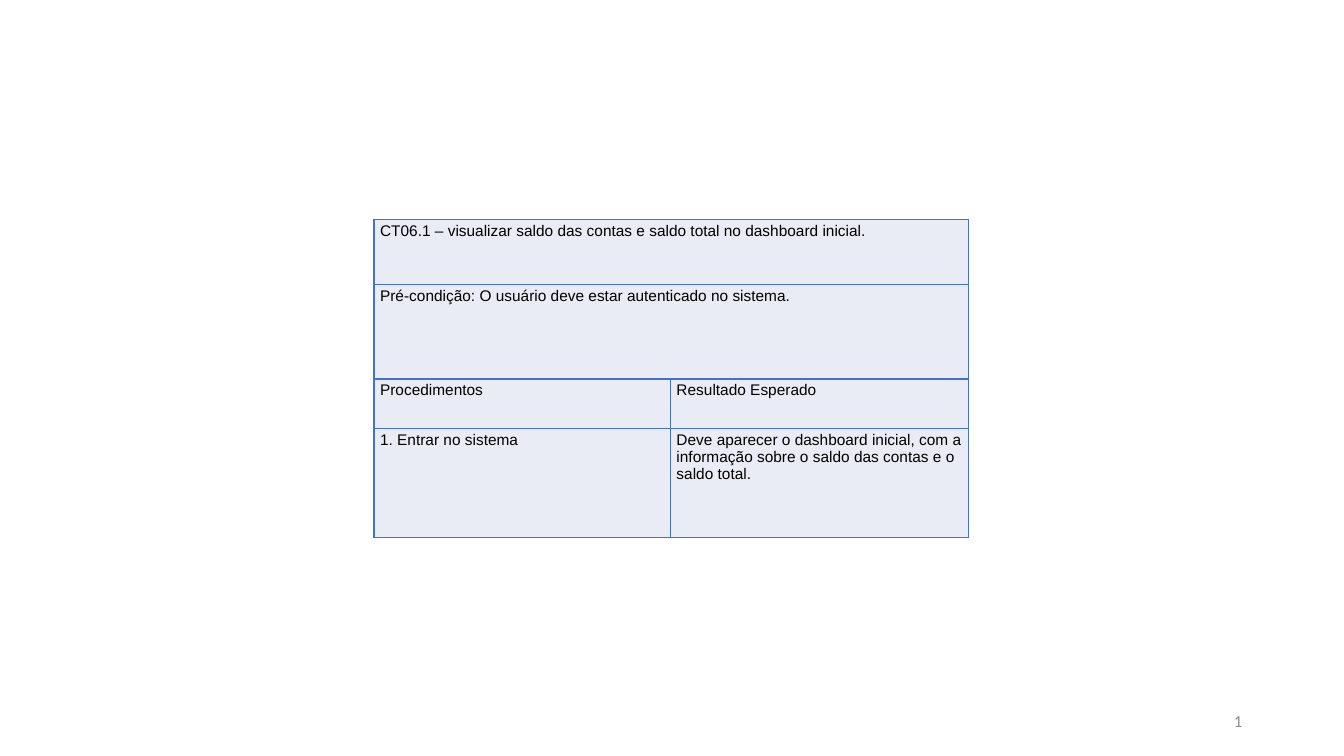
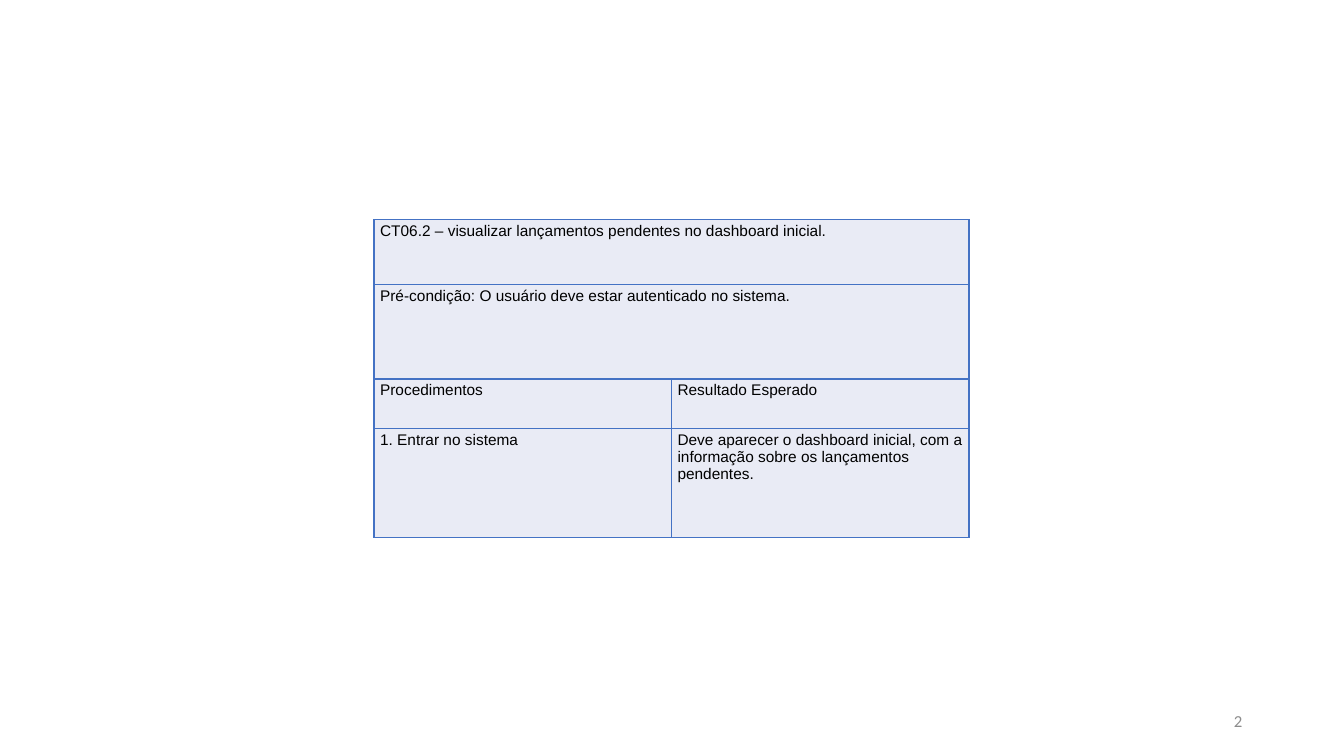
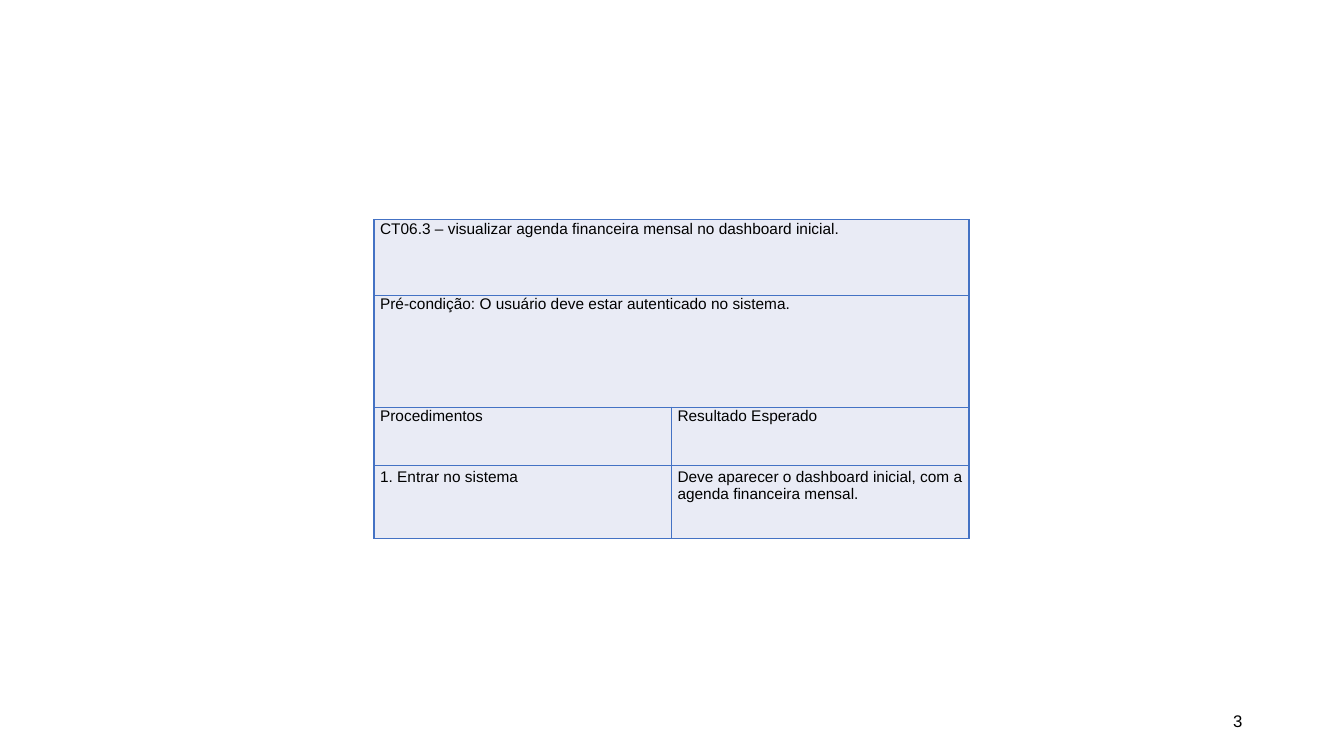
from dataclasses import dataclass

from lxml import etree
from pptx import Presentation
from pptx.dml.color import RGBColor
from pptx.enum.text import MSO_ANCHOR, PP_ALIGN
from pptx.oxml.ns import qn
from pptx.util import Inches, Pt

RIGHT = PP_ALIGN.RIGHT
MIDDLE = MSO_ANCHOR.MIDDLE


@dataclass(frozen=True)
class Theme:
    text: str = "000000"
    muted: str = "8C8C8C"
    border: str = "4472C4"
    fill: str = "E9EBF5"
    table_font: str = "Arial"
    number_font: str = "Calibri"
    table_size: int = 11
    number_size: int = 12
    border_width: int = 1


class Deck:
    """Builds test-case slides in one shared style."""

    def __init__(self, theme):
        self.theme = theme
        self.prs = Presentation()
        self.prs.slide_width = Inches(13.33)
        self.prs.slide_height = Inches(7.5)
        self.s = None

    def add_slide(self):
        self.s = self.prs.slides.add_slide(self.prs.slide_layouts[6])

    def style(self, p, font, size, color):
        p.font.name = font
        p.font.size = Pt(size)
        p.font.color.rgb = RGBColor.from_string(color)

    def add_number(self, font, color):
        sp = self.s.shapes.add_textbox(Inches(9.42), Inches(6.95), Inches(3), Inches(0.4))
        tf = sp.text_frame
        tf.word_wrap = True
        tf.vertical_anchor = MIDDLE
        p = tf.paragraphs[0]
        p.alignment = RIGHT
        self.style(p, font, self.theme.number_size, color)
        fld = etree.SubElement(p._p, qn("a:fld"), type="slidenum",
                               id="{B6F15528-21DE-4FAA-801E-634DDDAF4B2B}")
        etree.SubElement(fld, qn("a:rPr"), lang="pt-BR")
        etree.SubElement(fld, qn("a:t")).text = str(len(self.prs.slides))

    def add_borders(self, cell):
        tcPr = cell._tc.get_or_add_tcPr()
        for side in ("lnL", "lnR", "lnT", "lnB"):
            ln = etree.SubElement(tcPr, qn(f"a:{side}"), w=str(Pt(self.theme.border_width)))
            fill = etree.SubElement(ln, qn("a:solidFill"))
            etree.SubElement(fill, qn("a:srgbClr"), val=self.theme.border)

    def format_cell(self, cell, text, spacing):
        cell.margin_left = cell.margin_right = Inches(0.06)
        cell.margin_top = cell.margin_bottom = Inches(0.03)
        self.add_borders(cell)
        cell.fill.solid()
        cell.fill.fore_color.rgb = RGBColor.from_string(self.theme.fill)
        cell.text = text
        p = cell.text_frame.paragraphs[0]
        p.line_spacing = spacing
        self.style(p, self.theme.table_font, self.theme.table_size, self.theme.text)

    def add_test_case(self, title, result, cols, heights, spacings):
        rows = [
            (title, ""),
            ("Pré-condição: O usuário deve estar autenticado no sistema.", ""),
            ("Procedimentos", "Resultado Esperado"),
            ("1. Entrar no sistema", result),
        ]
        table = self.s.shapes.add_table(
            len(rows), len(cols), Inches(3.71), Inches(2.18),
            Inches(sum(cols)), Inches(sum(heights))).table
        table.first_row = False
        table.horz_banding = False
        for column, width in zip(table.columns, cols):
            column.width = Inches(width)
        for i, (texts, height, spacing) in enumerate(zip(rows, heights, spacings)):
            table.rows[i].height = Inches(height)
            for j, text in enumerate(texts):
                self.format_cell(table.cell(i, j), text, spacing)
            if not texts[1]:
                table.cell(i, 0).merge(table.cell(i, 1))


def main():
    theme = Theme()
    deck = Deck(theme)
    regular = (0.64, 0.94, 0.49, 1.08)
    single = (None, None, None, None)
    even = (2.95, 2.95)
    muted_number = (theme.number_font, theme.muted)
    cases = [
        ("CT06.1 – visualizar saldo das contas e saldo total no dashboard inicial.",
         "Deve aparecer o dashboard inicial, com a informação sobre o saldo das contas "
         "e o saldo total.",
         (2.94, 2.96), regular, single, muted_number),
        ("CT06.2 – visualizar lançamentos pendentes no dashboard inicial.",
         "Deve aparecer o dashboard inicial, com a informação sobre os lançamentos pendentes.",
         even, regular, single, muted_number),
        ("CT06.3 – visualizar agenda financeira mensal no dashboard inicial.",
         "Deve aparecer o dashboard inicial, com a agenda financeira mensal.",
         even, (0.75, 1.11, 0.58, 0.72), (0.86, 0.8, 0.8, None),
         (theme.table_font, theme.text)),
    ]
    for title, result, cols, heights, spacings, number in cases:
        deck.add_slide()
        deck.add_number(*number)
        deck.add_test_case(title, result, cols, heights, spacings)
    deck.prs.save("out.pptx")


if __name__ == "__main__":
    main()
